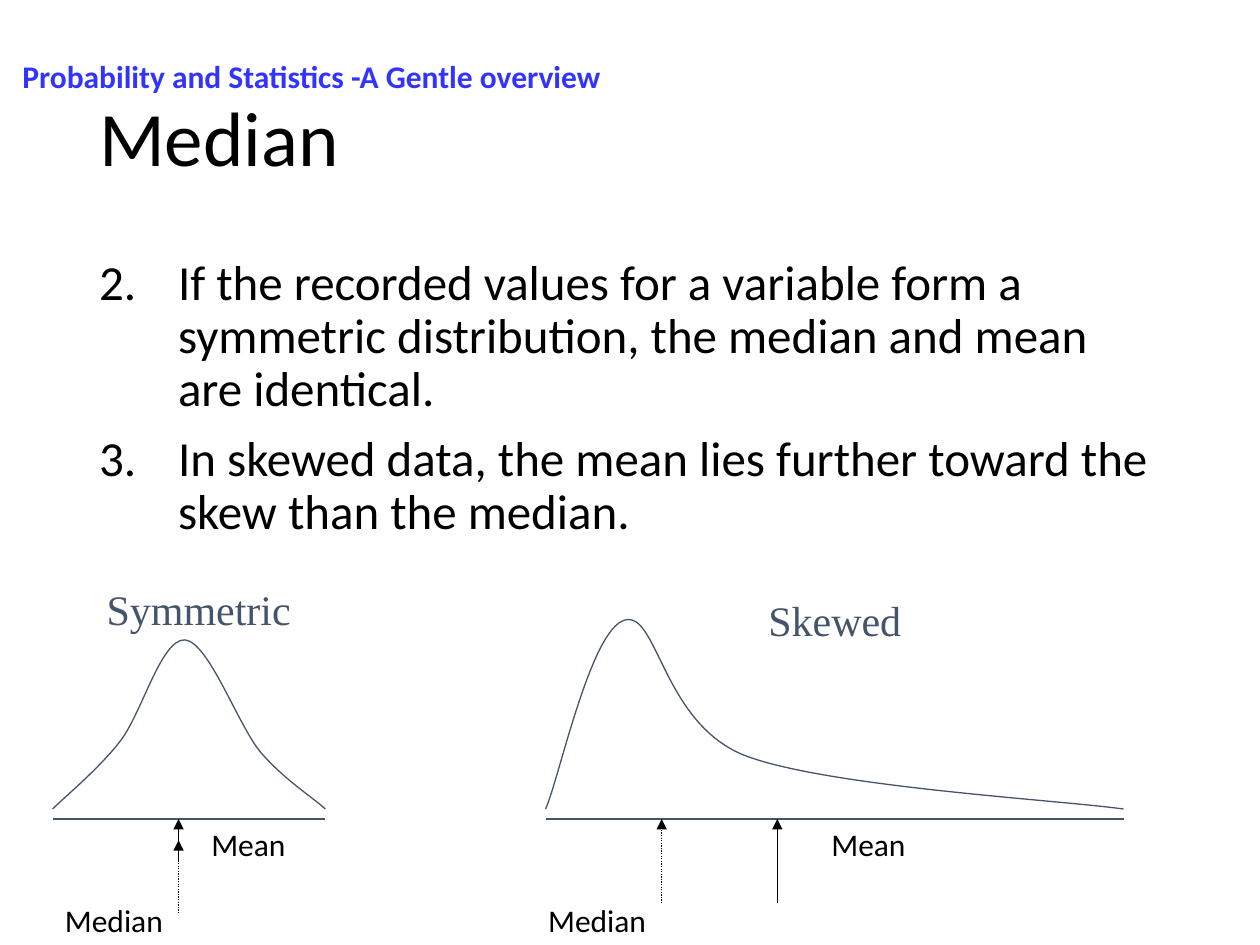
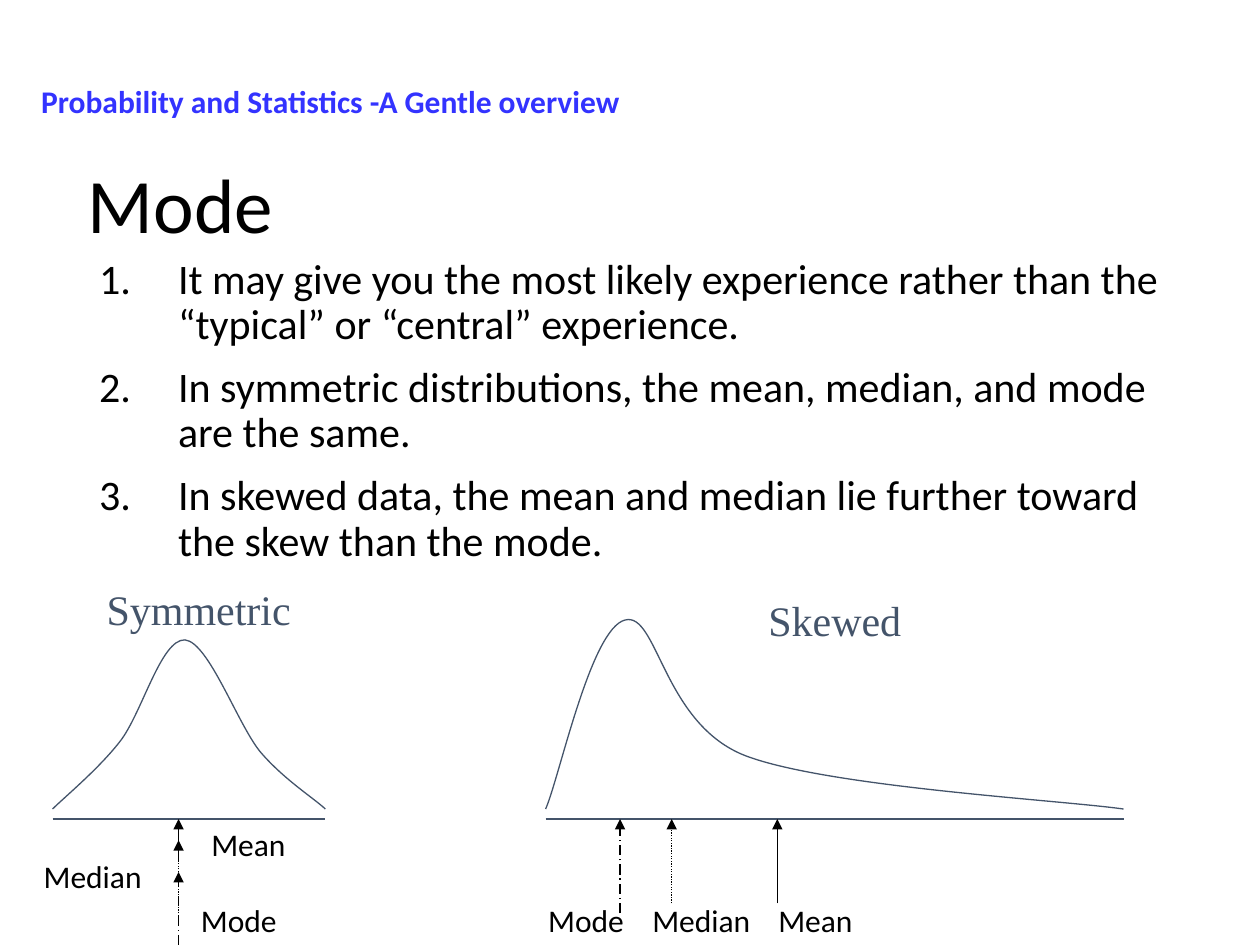
from dataclasses import dataclass

from lxml.etree import SubElement
from pptx import Presentation
from pptx.dml.color import RGBColor
from pptx.enum.dml import MSO_LINE_DASH_STYLE as Dash
from pptx.enum.shapes import MSO_CONNECTOR as Connector
from pptx.enum.text import MSO_ANCHOR as Anchor
from pptx.oxml.ns import qn
from pptx.util import Cm, Pt

BLACK = RGBColor(0x00, 0x00, 0x00)
SLATE = RGBColor(0x44, 0x54, 0x6A)
BLUE = RGBColor(0x33, 0x33, 0xFF)
SANS = "Calibri"
SERIF = "Times New Roman"
LINE_WIDTH = Pt(0.75)
LABEL_SIZE = 18
INDENT = Cm(1.59)
COURSE = "Probability and Statistics -A Gentle overview"
TITLE_SIZE = (21.89, 3.68)
BODY_BOX = (1.75, 5.08, 21.89, 12.09)
DASHES = {"Mean": None, "Median": Dash.ROUND_DOT, "Mode": Dash.LONG_DASH_DOT}


@dataclass
class Distribution:
    name: str
    name_at: tuple
    origin: tuple
    width: float
    curve: list


SYMMETRIC = Distribution(
    "Symmetric", (0.84, -4.88), (1.06, 16.51), 5.5,
    [(0, -0.2), (0.23, -0.43), (0.91, -0.99), (1.35, -1.55),
     (1.8, -2.11), (2.18, -3.63), (2.67, -3.61),
     (3.15, -3.56), (3.73, -1.91), (4.19, -1.35),
     (4.67, -0.79), (5.28, -0.41), (5.5, -0.2)])
SKEWED = Distribution(
    "Skewed", (4.24, -4.65), (11, 16.51), 11.65,
    [(0, -0.2), (0.28, -0.84), (0.91, -3.84), (1.6, -4.01),
     (2.26, -4.19), (2.36, -1.91), (4.04, -1.27),
     (5.72, -0.64), (10.39, -0.38), (11.65, -0.2)])


def add_run(paragraph, text, size, color=BLACK, font=SANS, bold=False):
    run = paragraph.add_run()
    run.text = text
    run.font.size = Pt(size)
    run.font.name = font
    run.font.bold = bold
    run.font.color.rgb = color


def add_frame(slide, box):
    frame = slide.shapes.add_textbox(*map(Cm, box)).text_frame
    frame.word_wrap = True
    return frame


def add_label(slide, box, text, size=LABEL_SIZE, **style):
    frame = add_frame(slide, box)
    add_run(frame.paragraphs[0], text, size, **style)


def add_title(slide, left, top, text):
    frame = add_frame(slide, (left, top, *TITLE_SIZE))
    frame.vertical_anchor = Anchor.MIDDLE
    frame.paragraphs[0].line_spacing = 0.9
    add_run(frame.paragraphs[0], text, 44)


def add_numbered_list(slide, box, points, size, start):
    frame = add_frame(slide, box)
    for index, point in enumerate(points):
        paragraph = frame.add_paragraph() if index else frame.paragraphs[0]
        properties = paragraph._p.get_or_add_pPr()
        properties.set("marL", str(INDENT))
        properties.set("indent", str(-INDENT))
        SubElement(properties, qn("a:buFont"), typeface=SANS)
        SubElement(properties, qn("a:buAutoNum"), type="arabicPeriod", startAt=str(start))
        paragraph.line_spacing = 0.9
        if index:
            paragraph.space_before = Pt(10)
        add_run(paragraph, point, size)


def add_line(slide, start, end, color, dash=None, arrow=False):
    line = slide.shapes.add_connector(Connector.STRAIGHT, *map(Cm, start + end))
    line.line.color.rgb = color
    line.line.width = LINE_WIDTH
    if dash:
        line.line.dash_style = dash
    if arrow:
        SubElement(line.line._get_or_add_ln(), qn("a:tailEnd"), type="triangle")
    SubElement(line._element.spPr, qn("a:effectLst"))


def add_curve(slide, points):
    start, *controls = [(Cm(x), Cm(y)) for x, y in points]
    builder = slide.shapes.build_freeform(*start)
    builder.add_line_segments(controls, close=False)
    shape = builder.convert_to_shape()
    shape.shadow.inherit = False
    shape.fill.background()
    shape.line.color.rgb = SLATE
    shape.line.width = LINE_WIDTH
    segments = list(shape._element.iter(qn("a:lnTo")))
    outline = segments[0].getparent()
    for first in range(0, len(segments), 3):
        bezier = SubElement(outline, qn("a:cubicBezTo"))
        for segment in segments[first:first + 3]:
            bezier.append(segment[0])
            outline.remove(segment)


def add_distribution(slide, distribution, arrows, labels):
    left, baseline = distribution.origin

    def place(x, y):
        return left + x, baseline + y

    add_curve(slide, [place(*point) for point in distribution.curve])
    add_line(slide, place(0, 0), place(distribution.width, 0), SLATE)
    for measure, (x, tip, tail) in arrows.items():
        add_line(slide, place(x, tail), place(x, tip), BLACK, DASHES[measure], arrow=True)
    for measure, position in labels.items():
        add_label(slide, (*place(*position), 3.6, 1.02), measure)
    add_label(slide, (*place(*distribution.name_at), 5.28, 1.27), distribution.name,
              size=24, color=SLATE, font=SERIF)


def add_measure_slide(presentation, title, title_at, course_at, points, size, start, plots):
    slide = presentation.slides.add_slide(presentation.slide_layouts[6])
    add_title(slide, *title_at, title)
    add_numbered_list(slide, BODY_BOX, points, size, start)
    for distribution, arrows, labels in plots:
        add_distribution(slide, distribution, arrows, labels)
    add_label(slide, (*course_at, 12.5, 1.02), COURSE, color=BLUE, bold=True)


def main():
    presentation = Presentation()
    presentation.slide_width = Cm(25.4)
    presentation.slide_height = Cm(19.05)
    centre_arrows = {"Mean": (2.54, 0, 0.84), "Median": (2.54, 0.43, 1.9)}
    mean_arrow = (4.67, 0, 1.7)
    add_measure_slide(
        presentation, "Median", (1.75, 1.02), (0.2, 1.02),
        ["If the recorded values for a variable form a symmetric distribution, "
         "the median and mean are identical.",
         "In skewed data, the mean lies further toward the skew than the median."],
        28, 2,
        [(SYMMETRIC, centre_arrows, {"Mean": (2.95, 0), "Median": (0, 1.52)}),
         (SKEWED, {"Mean": mean_arrow, "Median": (2.34, 0, 1.7)},
          {"Mean": (5.51, 0), "Median": (-0.2, 1.52)})])
    add_measure_slide(
        presentation, "Mode", (1.52, 2.36), (0.58, 1.53),
        ["It may give you the most likely experience rather than the "
         "“typical” or “central” experience.",
         "In symmetric distributions, the mean, median, and mode are the same.",
         "In skewed data, the mean and median lie further toward the skew than the mode."],
        24, 1,
        [(SYMMETRIC, {**centre_arrows, "Mode": (2.54, 1.07, 2.54)},
          {"Mean": (2.95, 0), "Median": (-0.43, 0.64), "Mode": (2.74, 1.52)}),
         (SKEWED, {"Mean": mean_arrow, "Median": (2.54, 0, 1.7), "Mode": (1.5, 0, 1.9)},
          {"Mode": (-0.2, 1.52), "Median": (1.9, 1.52), "Mean": (4.44, 1.52)})])
    presentation.save("out.pptx")


if __name__ == "__main__":
    main()
